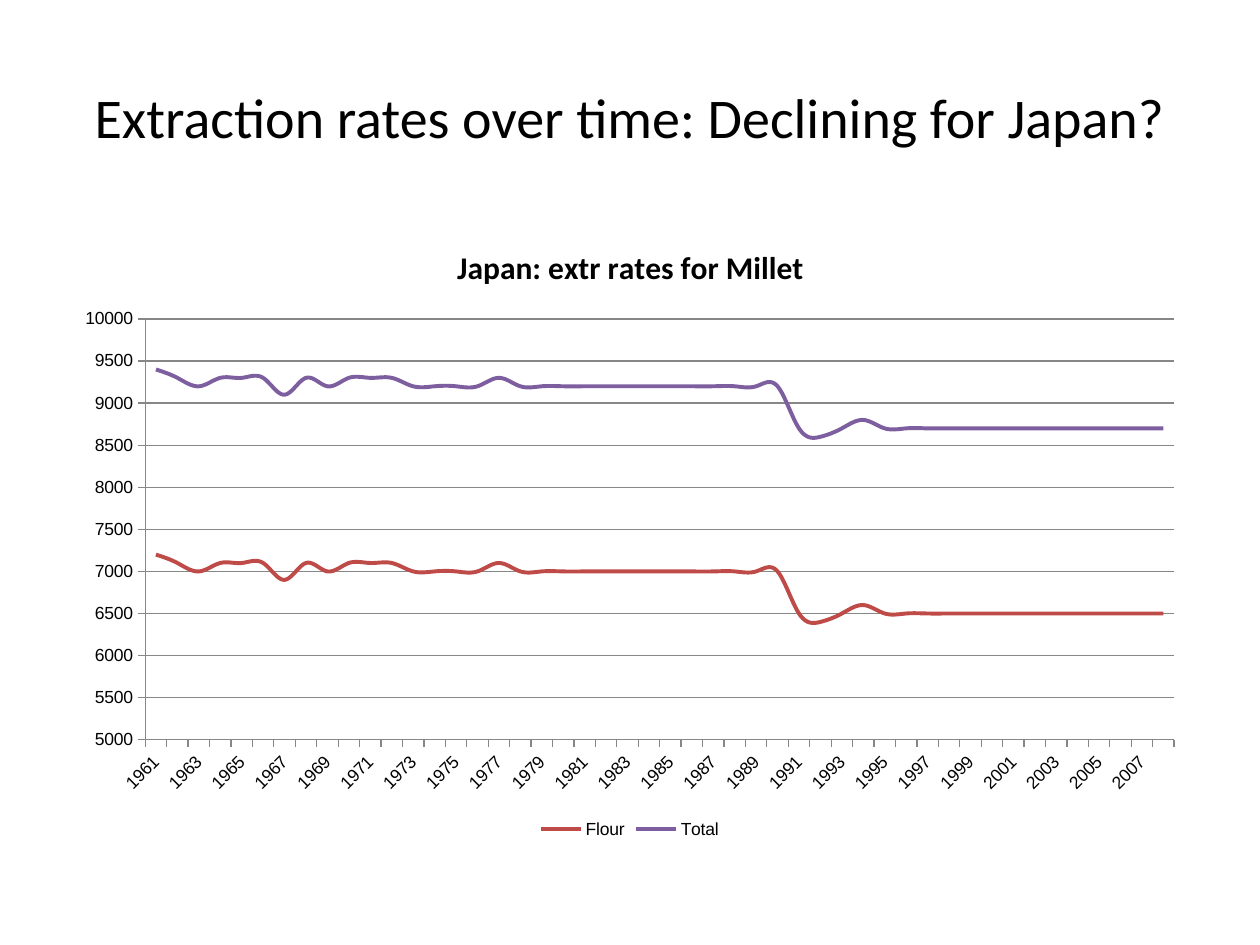
from lxml.etree import SubElement
from pptx import Presentation
from pptx.chart.data import CategoryChartData
from pptx.dml.color import RGBColor
from pptx.enum.chart import XL_CHART_TYPE as ChartType, XL_LEGEND_POSITION as LegendPosition, XL_TICK_MARK as TickMark
from pptx.enum.text import MSO_ANCHOR as Anchor, PP_ALIGN as Align
from pptx.oxml.ns import qn
from pptx.util import Pt

COLORS = {"text": "000000", "axis": "878787", "plot": "FFFFFF", "Flour": "BE4B48", "Total": "7D5FA0"}
CHART_WIDTH, CHART_HEIGHT = 648, 356.4
YEARS = [str(year) for year in range(1961, 2009)]
FLOUR = [
    7200, 7100, 7000, 7100, 7100, 7100, 6900, 7100, 7000, 7100,
    7100, 7100, 7000, 7000, 7000, 7000, 7100, *[7000] * 13,
    6500, 6400, 6500, 6600, *[6500] * 14,
]
TOTAL_OFFSET = 2200


class SlideBuilder:
    heading_font = "Calibri"
    chart_font = "Arial"

    def __init__(self, slide):
        self.slide = slide

    def color(self, name):
        return RGBColor.from_string(COLORS[name])

    def add_run(self, paragraph, text, size, bold=False):
        run = paragraph.add_run()
        run.text = text
        run.font.name = self.heading_font
        run.font.size = Pt(size)
        run.font.bold = bold
        run.font.color.rgb = self.color("text")

    def title(self, text, left, top, width, height):
        shape = self.slide.shapes.title
        shape.left, shape.top, shape.width, shape.height = map(Pt, (left, top, width, height))
        frame = shape.text_frame
        frame.word_wrap = True
        frame.vertical_anchor = Anchor.MIDDLE
        paragraph = frame.paragraphs[0]
        paragraph.alignment = Align.CENTER
        self.add_run(paragraph, text, 32)

    def place(self, parent, index, **settings):
        for layout in parent.findall(qn("c:layout")):
            parent.remove(layout)
        layout = SubElement(parent, qn("c:layout"))
        parent.insert(index, layout)
        manual = SubElement(layout, qn("c:manualLayout"))
        for name, value in settings.items():
            SubElement(manual, qn(f"c:{name}")).set("val", str(value))

    def style_line(self, line, color, width):
        line.color.rgb = self.color(color)
        line.width = Pt(width)

    def style_axis(self, axis):
        axis.major_tick_mark = TickMark.OUTSIDE
        axis.minor_tick_mark = TickMark.NONE
        self.style_line(axis.format.line, "axis", 0.75)

    def line_chart(self, heading, categories, series, left, top, width, height):
        data = CategoryChartData(number_format="0")
        data.categories = categories
        for name, values in series.items():
            data.add_series(name, values)
        frame = self.slide.shapes.add_chart(ChartType.LINE, *map(Pt, (left, top, width, height)), data)
        chart = frame.chart
        chart.font.name = self.chart_font
        chart.font.size = Pt(10)
        chart.font.color.rgb = self.color("text")

        chart.has_title = True
        title = chart.chart_title
        self.add_run(title.text_frame.paragraphs[0], heading, 18, True)
        title.include_in_layout = True
        self.place(title._element, 1, xMode="edge", yMode="edge", x=222 / width, y=11 / height)

        chart.has_legend = True
        chart.legend.position = LegendPosition.BOTTOM
        chart.legend.include_in_layout = False

        value_axis, category_axis = chart.value_axis, chart.category_axis
        self.style_axis(value_axis)
        self.style_axis(category_axis)
        value_axis.minimum_scale = 5000
        value_axis.maximum_scale = 10000
        value_axis.major_unit = 500
        value_axis.has_major_gridlines = True
        self.style_line(value_axis.major_gridlines.format.line, "axis", 0.75)
        category_axis.tick_labels.font.size = Pt(10)
        category_axis._element.find(qn("c:txPr")).find(qn("a:bodyPr")).set("rot", "-2700000")
        skip = SubElement(category_axis._element, qn("c:tickLblSkip"))
        skip.set("val", "2")
        category_axis._element.find(qn("c:noMultiLvlLbl")).addprevious(skip)

        for line_series in chart.plots[0].series:
            line_series.smooth = True
            self.style_line(line_series.format.line, line_series.name, 2.25)

        plot_area = chart._chartSpace.chart.plotArea
        self.place(plot_area, 0, layoutTarget="inner", xMode="edge", yMode="edge",
                   x=47 / width, y=56.3 / height, w=588 / width, h=240.5 / height)
        properties = SubElement(plot_area, qn("c:spPr"))
        fill = SubElement(properties, qn("a:solidFill"))
        SubElement(fill, qn("a:srgbClr")).set("val", COLORS["plot"])


def main():
    presentation = Presentation()
    presentation.slide_width, presentation.slide_height = Pt(720), Pt(540)
    builder = SlideBuilder(presentation.slides.add_slide(presentation.slide_layouts[5]))
    builder.title("Extraction rates over time: Declining for Japan?", 36, 21.6, 648, 90)
    series = {"Flour": FLOUR, "Total": [value + TOTAL_OFFSET for value in FLOUR]}
    builder.line_chart("Japan: extr rates for Millet", YEARS, series, 36, 126, CHART_WIDTH, CHART_HEIGHT)
    presentation.save("out.pptx")


if __name__ == "__main__":
    main()
